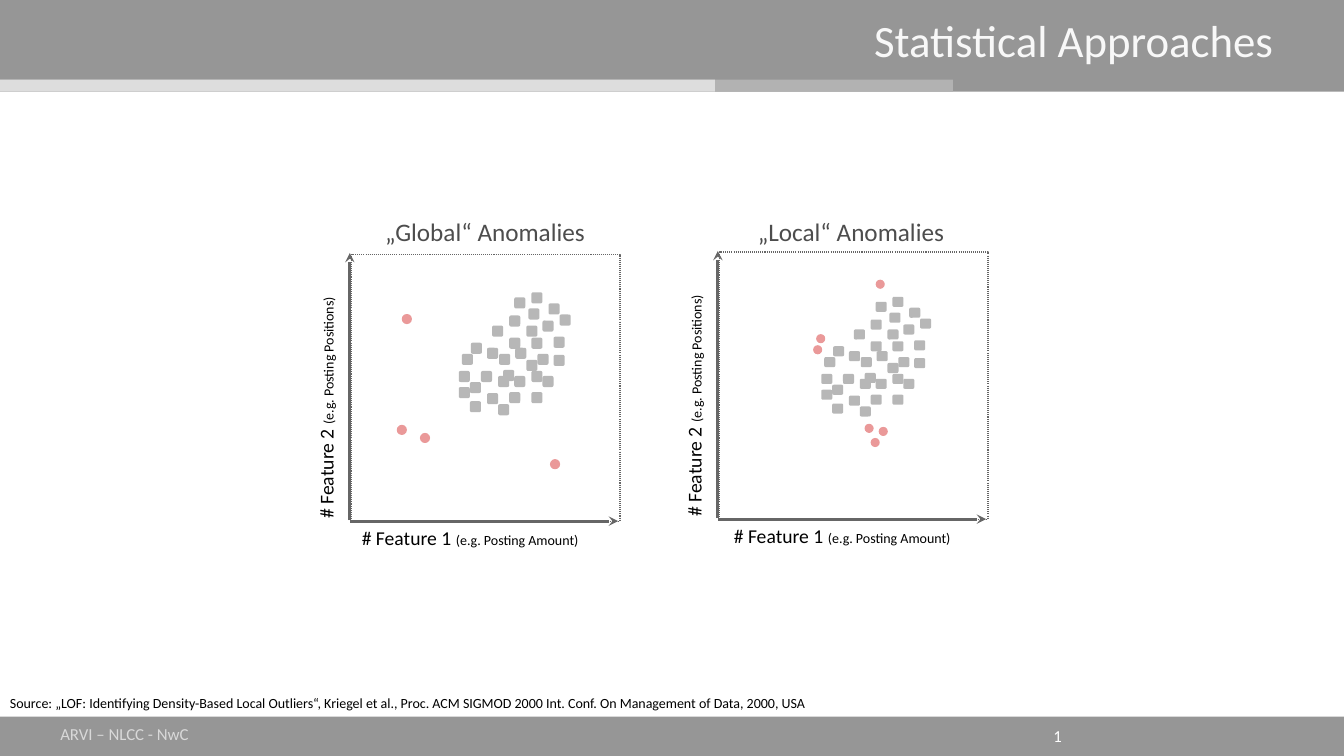
from pptx import Presentation
from pptx.dml.color import RGBColor
from pptx.enum.dml import MSO_LINE
from pptx.enum.shapes import MSO_CONNECTOR, MSO_SHAPE as Preset
from pptx.enum.text import MSO_ANCHOR as Anchor, MSO_AUTO_SIZE as AutoSize, PP_ALIGN as Align
from pptx.oxml.ns import qn
from pptx.util import Inches, Pt
from lxml.etree import SubElement

COLORS = {
    "band": "969696", "band_mid": "B2B2B2", "band_light": "DDDDDD",
    "title": "F8F8F8", "footer": "D9D9D9", "white": "FFFFFF", "black": "000000",
    "heading": "4D4D4D", "axis": "666666", "normal": "B7B7B7", "anomaly": "EA9999",
}
TITLE = "Statistical Approaches"
SOURCE = ("Source: „LOF: Identifying Density-Based Local Outliers“, Kriegel et al., "
          "Proc. ACM SIGMOD 2000 Int. Conf. On Management of Data, 2000, USA")
FOOTER = "ARVI – NLCC - NwC"
PAGE_NUMBER = "1"
FEATURE_1 = [("# Feature 1 ", 14), ("(e.g. Posting Amount)", 10)]
FEATURE_2 = [("# Feature 2 ", 14), ("(e.g. Posting Positions)", 10)]

BANDS = [
    ((0, 7.11, 13.33, 0.39), "band"),
    ((0, 0, 13.33, 0.91), "band"),
    ((0, 0.79, 9.45, 0.12), "band_mid"),
    ((0, 0.79, 7.09, 0.12), "band_light"),
]
CLUSTER = [
    (0.50, 0.23), (0.50, 0.45), (0.72, 0.45), (0.22, 0.78), (0.94, 0.62), (0.28, 0.55),
    (0.67, 0.67), (0.12, 0.50), (0.83, 0.28), (0.83, 0.83), (0.94, 0.44), (0.40, 0.61),
    (0.03, 0.61), (0.33, 0.33), (0.55, 0.83), (0.56, 0.55), (0.44, 0.77), (0.72, 0.99),
    (0.50, 0.99), (0.28, 1.00), (0.11, 0.89), (0.11, 1.08), (0.69, 0.16), (1.00, 0.22),
    (0.00, 0.78), (0.39, 0.83), (0.39, 1.11), (0.89, 0.11), (0.78, 0.61), (0.00, 0.94),
    (0.72, 0.78), (0.72, 0.00), (0.55, 0.05), (0.67, 0.33),
]
PANELS = [
    {"heading": "„Global“ Anomalies", "heading_left": 3.47, "frame": (3.49, 2.52),
     "feature_1_left": 3.49, "cluster": (4.55, 2.90), "spread": 1, "square": 0.11, "dot": 0.09,
     "anomalies": [(3.94, 4.22), (5.46, 4.56), (3.99, 3.12), (4.17, 4.30)]},
    {"heading": "„Local“ Anomalies", "heading_left": 7.10, "frame": (7.14, 2.50),
     "feature_1_left": 7.18, "cluster": (8.15, 2.94), "spread": 0.98, "square": 0.10, "dot": 0.08,
     "anomalies": [(8.10, 3.32), (8.58, 4.21), (8.07, 3.43), (8.72, 4.24),
                   (8.64, 4.35), (8.69, 2.78)]},
]
FRAME_WIDTH, FRAME_HEIGHT = 2.66, 2.65
SQUARE_HEIGHT = 0.11


def rgb(name):
    return RGBColor.from_string(COLORS[name])


def apply(target, values):
    for name, value in values.items():
        setattr(target, name, value)


def draw(shapes, preset, box, fill=None, line=None, weight=0.75, **values):
    shape = shapes.add_shape(preset, *map(Inches, box))
    shape.shadow.inherit = False
    if fill:
        shape.fill.solid()
        shape.fill.fore_color.rgb = rgb(fill)
    else:
        shape.fill.background()
    if line:
        shape.line.color.rgb = rgb(line)
        shape.line.width = Pt(weight)
    else:
        shape.line.fill.background()
    apply(shape, values)
    return shape


def write(shape, runs, color, align=Align.LEFT, anchor=Anchor.TOP, inset=(0.1, 0.05)):
    across, down = map(Inches, inset)
    frame = shape.text_frame
    apply(frame, {"word_wrap": True, "auto_size": AutoSize.NONE, "vertical_anchor": anchor,
                  "margin_left": across, "margin_right": across,
                  "margin_top": down, "margin_bottom": down})
    paragraph = frame.paragraphs[0]
    paragraph.alignment = align
    for words, size in runs:
        run = paragraph.add_run()
        run.text = words
        apply(run.font, {"name": "Calibri", "size": Pt(size)})
        run.font.color.rgb = rgb(color)


def label(shapes, box, runs, color, rotation=0, **layout):
    text_box = shapes.add_textbox(*map(Inches, box))
    text_box.rotation = rotation
    write(text_box, runs, color, **layout)


def draw_axis(shapes, start, end):
    axis = shapes.add_connector(MSO_CONNECTOR.STRAIGHT, *map(Inches, start + end))
    axis.line.color.rgb = rgb("axis")
    axis.line.width = Pt(2.25)
    SubElement(axis.line._get_or_add_ln(), qn("a:tailEnd"), type="stealth")
    SubElement(axis._element.spPr, qn("a:effectLst"))


def draw_panel(slide, panel):
    shapes = slide.shapes.add_group_shape().shapes
    left, top = panel["frame"]
    right, bottom = left + FRAME_WIDTH - 0.02, top + FRAME_HEIGHT
    axis_left = left - 0.02

    frame = draw(shapes, Preset.RECTANGLE, (left, top, FRAME_WIDTH, FRAME_HEIGHT), line="axis")
    frame.line.dash_style = MSO_LINE.ROUND_DOT
    draw_axis(shapes, (axis_left, bottom - 0.01), (axis_left, top - 0.01))
    draw_axis(shapes, (axis_left, bottom), (right, bottom))

    cluster_left, cluster_top = panel["cluster"]
    for x, y in CLUSTER:
        draw(shapes, Preset.ROUNDED_RECTANGLE,
             (cluster_left + x * panel["spread"], cluster_top + y * panel["spread"],
              panel["square"], SQUARE_HEIGHT), "normal", rotation=90)
    for x, y in panel["anomalies"]:
        draw(shapes, Preset.OVAL, (x, y, panel["dot"], panel["dot"]), "anomaly", "anomaly")

    label(shapes, (left - 1.69, top + 1.05, 2.94, 0.41), FEATURE_2, "black", rotation=270)
    label(shapes, (panel["feature_1_left"], bottom, 3.06, 0.4), FEATURE_1, "black")

    heading = draw(slide.shapes, Preset.RECTANGLE, (panel["heading_left"], 2.16, 2.68, 0.28),
                   "white", "white")
    write(heading, [(panel["heading"], 18)], "heading", Align.CENTER, Anchor.MIDDLE)


deck = Presentation()
apply(deck, {"slide_width": Inches(13.33), "slide_height": Inches(7.5)})
slide = deck.slides.add_slide(deck.slide_layouts[5])

for box, fill in BANDS:
    draw(slide.shapes, Preset.RECTANGLE, box, fill)
label(slide.shapes, (0.5, 7.08, 3.17, 0.4), [(FOOTER, 12)], "footer", anchor=Anchor.MIDDLE)
label(slide.shapes, (8.3, 7.1, 2.33, 0.4), [(PAGE_NUMBER, 12)], "white",
      align=Align.RIGHT, anchor=Anchor.MIDDLE)

title = slide.shapes.title
apply(title, {"left": Inches(0.7), "top": Inches(0.13),
              "width": Inches(11.93), "height": Inches(0.81)})
write(title, [(TITLE, 32)], "title", Align.RIGHT, inset=(0, 0))
slide.shapes._spTree.append(title._element)

for panel in PANELS:
    draw_panel(slide, panel)
label(slide.shapes, (0, 6.84, 10.63, 0.44), [(SOURCE, 10)], "black")

deck.save("out.pptx")
